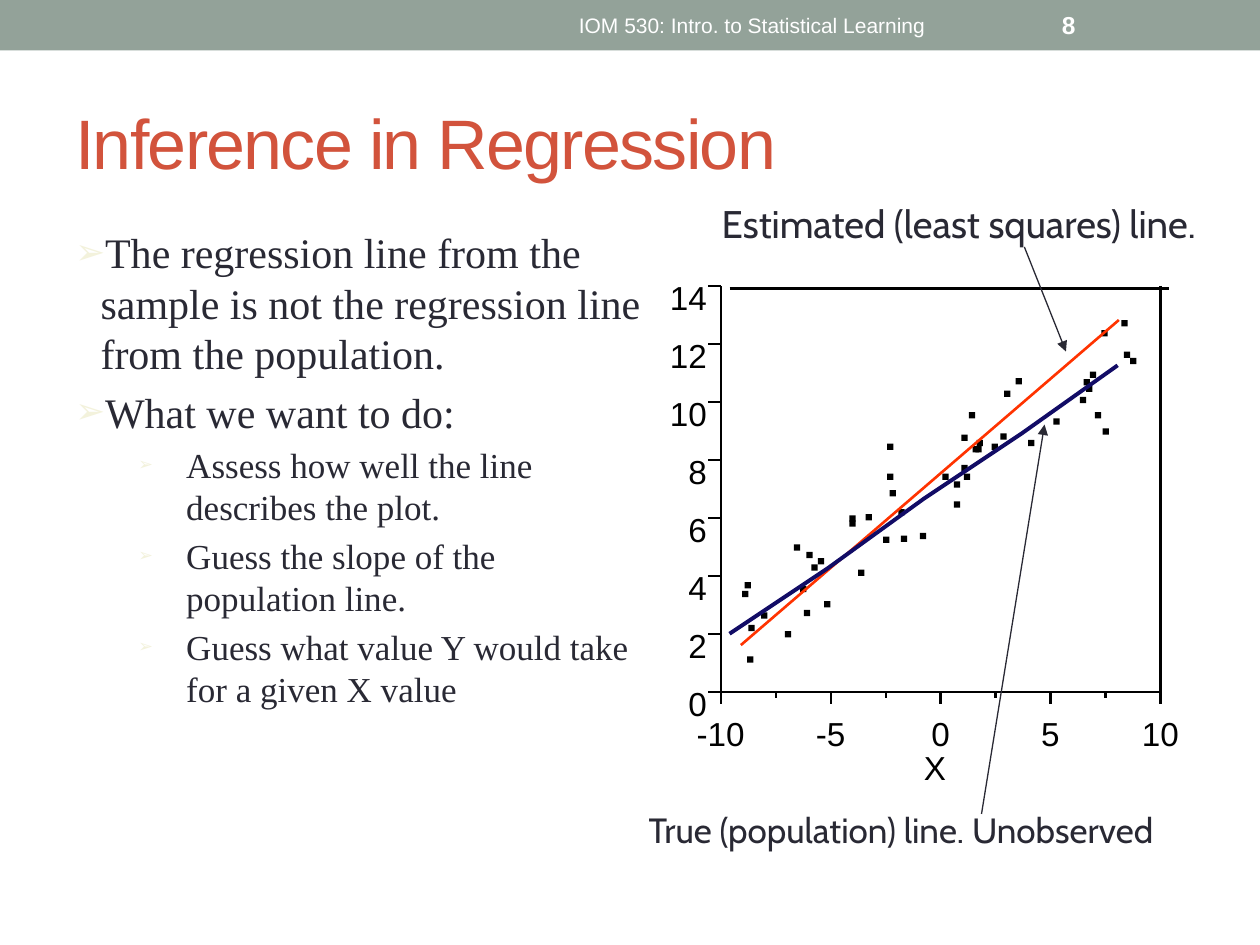
from lxml.etree import SubElement
from pptx import Presentation
from pptx.dml.color import RGBColor
from pptx.enum.shapes import MSO_CONNECTOR, MSO_SHAPE
from pptx.enum.text import MSO_ANCHOR, PP_ALIGN
from pptx.oxml.ns import qn
from pptx.util import Inches, Pt

COLORS = {
    "band": "93A299", "title": "D2533C", "body": "292934", "bullet": "F3F2DC",
    "white": "FFFFFF", "black": "000000", "estimate": "FF3300", "truth": "120C66",
}

deck = Presentation()
deck.slide_width, deck.slide_height = Inches(10), Inches(7.5)
page = deck.slides.add_slide(deck.slide_layouts[6])
shapes = page.shapes

# All places are on a grid of 1000 columns by 750 rows
CELL = deck.slide_width // 1000


def write(text, place, size, color, font="Arial", align=PP_ALIGN.LEFT,
          anchor=MSO_ANCHOR.TOP, inset=True, wrap=True):
    box = shapes.add_textbox(*(round(n * CELL) for n in place))
    frame = box.text_frame
    frame.text = text
    frame.word_wrap = wrap
    frame.vertical_anchor = anchor
    if not inset:
        frame.margin_left = frame.margin_right = 0
        frame.margin_top = frame.margin_bottom = 0
    for para in frame.paragraphs:
        para.alignment = align
        for span in para.runs:
            span.font.size = Pt(size)
            span.font.name = font
            span.font.color.rgb = RGBColor.from_string(COLORS[color])
    return box


def draw_line(start, end, color="black", width=1.25, arrow=False):
    ends = [round(n * CELL) for n in (*start, *end)]
    line = shapes.add_connector(MSO_CONNECTOR.STRAIGHT, *ends)
    line.line.color.rgb = RGBColor.from_string(COLORS[color])
    line.line.width = Pt(width)
    if arrow:
        SubElement(line.line._get_or_add_ln(), qn("a:tailEnd"), type="triangle")
    SubElement(line._element.spPr, qn("a:effectLst"))


# Header band
band = shapes.add_shape(MSO_SHAPE.RECTANGLE, 0, 0, deck.slide_width, 40 * CELL)
band.shadow.inherit = False
band.fill.solid()
band.fill.fore_color.rgb = RGBColor.from_string(COLORS["band"])
band.line.fill.background()
write("IOM 530: Intro. to Statistical Learning", (372, 2, 450, 36), 12, "white",
      align=PP_ALIGN.CENTER, anchor=MSO_ANCHOR.MIDDLE)
number = write("8", (833, 2, 117, 36), 14, "white", anchor=MSO_ANCHOR.MIDDLE)
number.text_frame.paragraphs[0].runs[0].font.bold = True

# Title
title = write("Inference in Regression", (50, 58, 900, 108), 40, "title",
              anchor=MSO_ANCHOR.MIDDLE)
title.text_frame.paragraphs[0].runs[0]._r.get_or_add_rPr().set("spc", "-100")

# Bulleted text: level and wording
points = [
    (0, "The regression line from the sample is not the regression line from the population."),
    (0, "What we want to do:"),
    (1, "Assess how well the line describes the plot."),
    (1, "Guess the slope of the population line."),
    (1, "Guess what value Y would take for a given X value"),
]
# Per level: text size, left margin, hanging indent, bullet size in percent
levels = [(24, 0.2, 0.2, 85), (20, 0.88, 0.38, 50)]
body = write("\n".join(text for level, text in points), (50, 175, 477, 533), 24,
             "body", "Times New Roman")
for index, (para, (level, text)) in enumerate(zip(body.text_frame.paragraphs, points)):
    size, margin, hang, bullet_size = levels[level]
    para.level = level
    if index:
        para.space_before = Pt(size * 0.2)
    props = para._p.get_or_add_pPr()
    props.set("marL", str(Inches(margin)))
    props.set("indent", str(-Inches(hang)))
    SubElement(SubElement(props, qn("a:buClr")), qn("a:srgbClr"), val=COLORS["bullet"])
    SubElement(props, qn("a:buSzPct"), val=str(bullet_size * 1000))
    SubElement(props, qn("a:buFont"), typeface="Arial")
    SubElement(props, qn("a:buChar"), char="➢")
    para.runs[0].font.size = Pt(size)

# Plot area
LEFT, RIGHT, TOP, BOTTOM = 572, 921, 227, 549
area = shapes.add_shape(MSO_SHAPE.RECTANGLE, 573 * CELL, 229 * CELL, 347 * CELL, 320 * CELL)
area.shadow.inherit = False
area.fill.solid()
area.fill.fore_color.rgb = RGBColor.from_string(COLORS["white"])
area.line.fill.background()

# Vertical axis: a tick and a label every two units
for value in range(0, 15, 2):
    row = BOTTOM - value * (BOTTOM - TOP) / 14
    draw_line((LEFT, row), (LEFT - 10, row))
    write(str(value), (521, row - 7, 40, 32), 19, "black",
          align=PP_ALIGN.RIGHT, inset=False)

# Sample points: left and top of each square marker
sample = [
    (865, 295), (649, 443), (730, 423), (704, 352), (874, 262), (630, 432), (674, 409),
    (644, 448), (748, 376), (715, 425), (757, 382), (757, 398), (704, 376), (765, 376),
    (623, 501), (763, 369), (794, 344), (836, 332), (775, 349), (701, 426), (862, 306),
    (787, 352), (674, 413), (816, 349), (774, 354), (857, 315), (890, 254), (892, 279),
    (604, 486), (860, 301), (897, 284), (806, 300), (638, 484), (687, 408), (640, 438),
    (681, 452), (875, 340), (769, 327), (594, 496), (654, 477), (589, 469), (706, 389),
    (797, 310), (763, 345), (772, 354), (635, 465), (869, 327), (593, 521), (591, 462),
    (713, 404),
]
for column, row in sample:
    marker = shapes.add_shape(MSO_SHAPE.RECTANGLE, column * CELL, row * CELL, 5 * CELL, 5 * CELL)
    marker.shadow.inherit = False
    marker.fill.solid()
    marker.fill.fore_color.rgb = RGBColor.from_string(COLORS["black"])
    marker.line.fill.background()

# Plot frame
draw_line((579, 229), (928, 229))
draw_line((RIGHT, TOP), (RIGHT, BOTTOM))
draw_line((RIGHT, BOTTOM), (LEFT, BOTTOM))
draw_line((LEFT, BOTTOM), (LEFT, TOP))

# Horizontal axis: long labelled ticks with short ones between
for tick in range(9):
    column = LEFT + tick * (RIGHT - LEFT) / 8
    labelled = tick % 2 == 0
    draw_line((column, BOTTOM), (column, BOTTOM + (10 if labelled else 5)))
    if labelled:
        write(str(-10 + tick // 2 * 5), (column - 30, 566, 60, 32), 19, "black",
              align=PP_ALIGN.CENTER, inset=False)
write("X", (722, 593, 40, 32), 19, "black", align=PP_ALIGN.CENTER, inset=False)

# Estimated line and its label
draw_line((588, 512), (888, 254), "estimate", 1.5)
write("Estimated (least squares) line.", (563, 154, 450, 47), 22, "body", "Cabin", wrap=False)
draw_line((813, 196), (846, 279), "body", 0.75, arrow=True)

# Population line and its label
bends = [(579, 503), (657, 451), (733, 396), (811, 344), (887, 290)]
builder = shapes.build_freeform(*bends[0], scale=CELL)
builder.add_line_segments(bends[1:], close=False)
truth = builder.convert_to_shape()
truth.shadow.inherit = False
truth.fill.background()
truth.line.color.rgb = RGBColor.from_string(COLORS["truth"])
truth.line.width = Pt(2.25)
write("True (population) line. Unobserved", (505, 637, 542, 44), 20, "body", "Cabin")
draw_line((779, 646), (829, 337), "body", 0.75, arrow=True)

deck.save("out.pptx")
